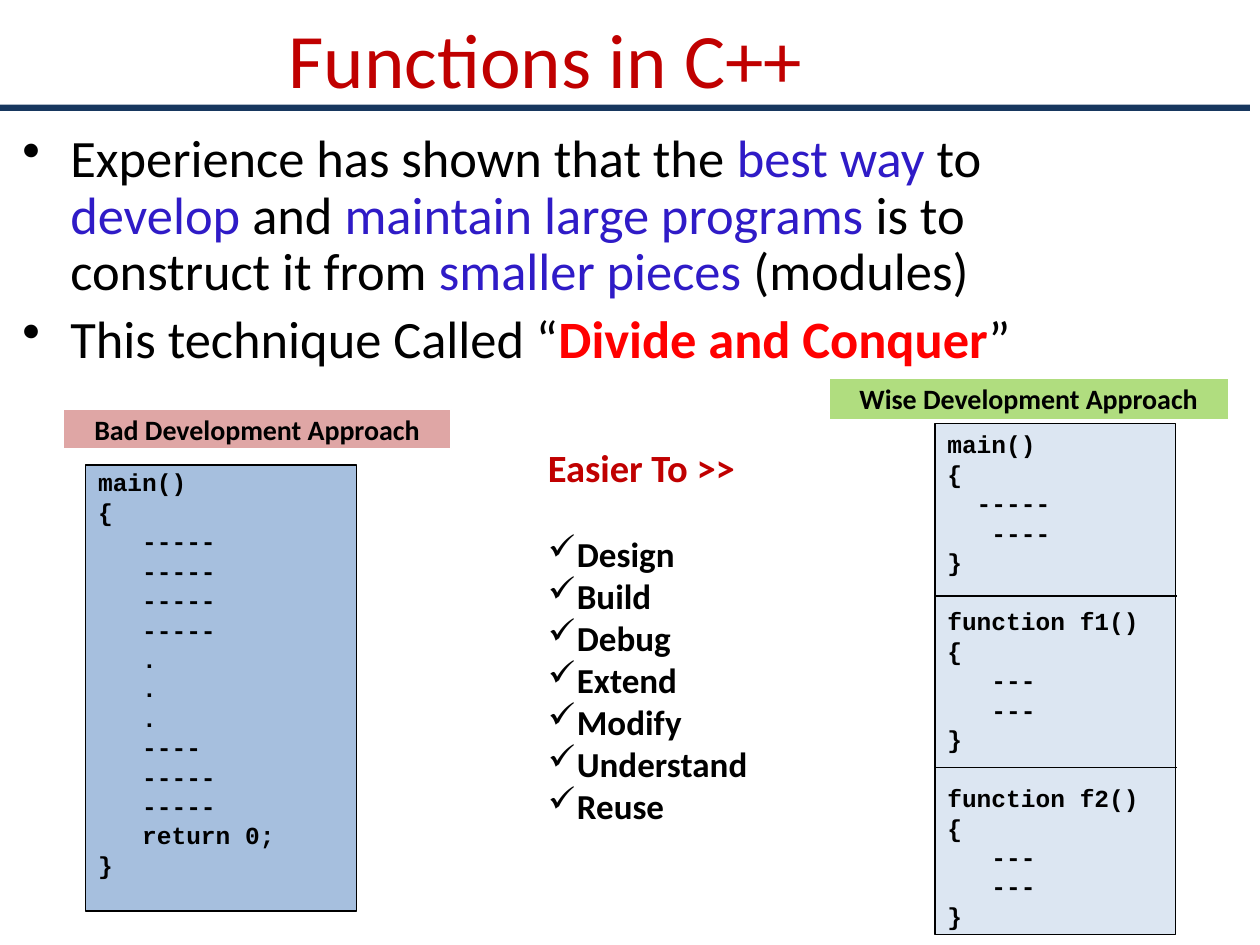
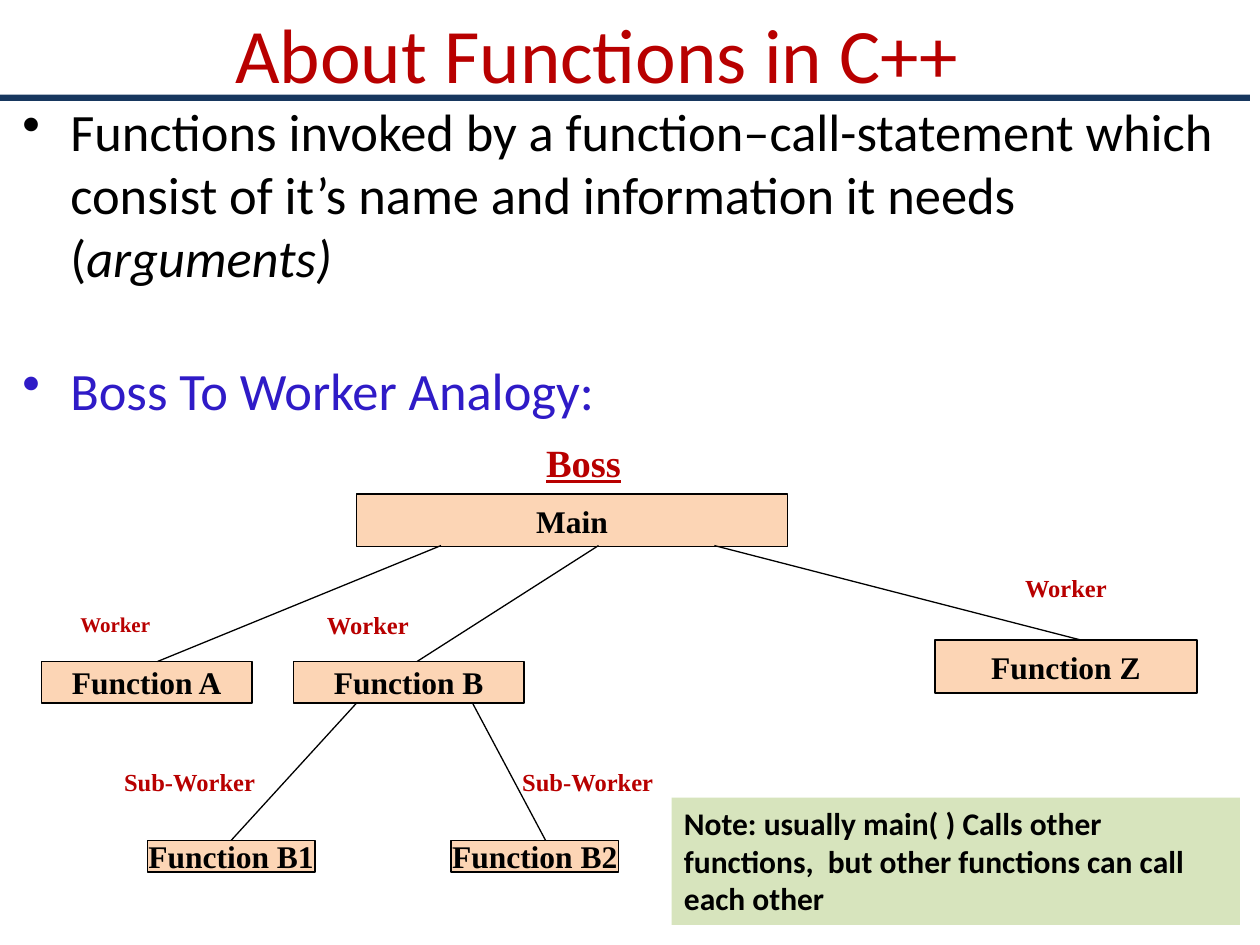
"""Build two slides that introduce functions in C++."""
from dataclasses import dataclass
from typing import Optional

import lxml.etree
import pptx
import pptx.dml.color
import pptx.enum.shapes
import pptx.enum.text
import pptx.oxml.ns
import pptx.util

RGBColor = pptx.dml.color.RGBColor
BLACK = RGBColor(0x00, 0x00, 0x00)
WHITE = RGBColor(0xFF, 0xFF, 0xFF)
NAVY = RGBColor(0x17, 0x37, 0x5E)
CRIMSON = RGBColor(0xC0, 0x00, 0x00)
DARK_RED = RGBColor(0xB8, 0x00, 0x00)
RED = RGBColor(0xFF, 0x00, 0x00)
INDIGO = RGBColor(0x2F, 0x1B, 0xC7)
STEEL = RGBColor(0xA6, 0xBF, 0xDE)
PALE_BLUE = RGBColor(0xDC, 0xE6, 0xF2)
ROSE = RGBColor(0xDF, 0xA6, 0xA5)
GREEN = RGBColor(0xB0, 0xDD, 0x7F)
PALE_GREEN = RGBColor(0xD7, 0xE4, 0xBD)
PEACH = RGBColor(0xFC, 0xD5, 0xB5)

SANS, MONO, SERIF = "Calibri", "Courier New", "Times New Roman"
CENTER = pptx.enum.text.PP_ALIGN.CENTER
LEFT = pptx.enum.text.PP_ALIGN.LEFT
TOP = pptx.enum.text.MSO_ANCHOR.TOP
MIDDLE = pptx.enum.text.MSO_ANCHOR.MIDDLE
PX_PER_INCH = 100
MONO_ADVANCE = 0.6
CODE_SIZE = 14
CODE_GAP = 17

Area = tuple[int, int, int, int]


@dataclass(frozen=True)
class Box:
    """A rectangle with one line or one block of bold text."""
    area: Area
    text: str
    fill: RGBColor
    line: Optional[RGBColor] = WHITE
    font: str = SANS
    size: int = 16
    color: RGBColor = BLACK
    align: pptx.enum.text.PP_ALIGN = CENTER
    anchor: pptx.enum.text.MSO_ANCHOR = MIDDLE
    wrap: bool = False
    underline: bool = False


@dataclass(frozen=True)
class Span:
    """A stretch of body text in one style."""
    text: str
    color: RGBColor = BLACK
    bold: bool = False
    italic: bool = False


@dataclass(frozen=True)
class CodeLine:
    """A line of code, indented by whole characters."""
    text: str
    indent: int = 0
    gap: int = 0


@dataclass(frozen=True)
class Edge:
    """A line of the call tree, ending at a point or on top of a node."""
    start: tuple[int, int]
    end: tuple[int, int]
    node: str = ""


def px(length: int) -> int:
    """Turn px into EMU."""
    return length * pptx.util.Inches(1) // PX_PER_INCH


def set_indent(para, margin: int, hanging: int = 0, bullet: str = "") -> None:
    """Set the left margin, hanging indent and bullet in EMU."""
    props = para._p.get_or_add_pPr()
    props.set("marL", str(margin))
    props.set("indent", str(-hanging))
    if bullet:
        mark = lxml.etree.SubElement(props, pptx.oxml.ns.qn("a:buChar"))
        mark.set("char", bullet)


def style_span(span, font: str, size: int, color: RGBColor,
               bold: bool = False) -> None:
    """Format one run."""
    span.font.name = font
    span.font.size = pptx.util.Pt(size)
    span.font.color.rgb = color
    span.font.bold = bold


def add_box(page, box: Box):
    """Draw a rectangle with its text."""
    shape = page.shapes.add_shape(pptx.enum.shapes.MSO_SHAPE.RECTANGLE,
                                  *map(px, box.area))
    shape.shadow.inherit = False
    shape.fill.solid()
    shape.fill.fore_color.rgb = box.fill
    if box.line is None:
        shape.line.fill.background()
    else:
        shape.line.color.rgb = box.line
        shape.line.width = pptx.util.Pt(0.75)
    frame = shape.text_frame
    frame.word_wrap = box.wrap
    frame.vertical_anchor = box.anchor
    frame.text = box.text
    for para in frame.paragraphs:
        para.alignment = box.align
        for span in para.runs:
            style_span(span, box.font, box.size, box.color, True)
            if box.underline:
                span.font.underline = True
    return shape


def add_code(page, area: Area, fill: RGBColor, inset: int,
             lines: list[CodeLine]) -> None:
    """Draw a panel of code."""
    text = "\n".join(line.text for line in lines)
    panel = add_box(page, Box(area, text, fill, BLACK, MONO, CODE_SIZE,
                              align=LEFT, anchor=TOP, wrap=True))
    panel.text_frame.margin_top = px(inset)
    for para, line in zip(panel.text_frame.paragraphs, lines):
        set_indent(para, pptx.util.Pt(line.indent * CODE_SIZE * MONO_ADVANCE))
        para.space_before = pptx.util.Pt(line.gap)


def add_line(page, start: tuple[int, int], end: tuple[int, int]):
    """Draw a thin black straight line."""
    line = page.shapes.add_connector(pptx.enum.shapes.MSO_CONNECTOR.STRAIGHT,
                                     *map(px, start + end))
    line.line.color.rgb = BLACK
    line.line.width = pptx.util.Pt(0.75)
    lxml.etree.SubElement(line._element.spPr, pptx.oxml.ns.qn("a:effectLst"))
    return line


def add_page(deck, title: str, area: Area, color: RGBColor, rule_top: int):
    """Add a slide with its title and the rule below it."""
    page = deck.slides.add_slide(deck.slide_layouts[5])
    holder = page.shapes.title
    holder.left, holder.top, holder.width, holder.height = map(px, area)
    frame = holder.text_frame
    frame.text = title
    frame.word_wrap = True
    frame.auto_size = pptx.enum.text.MSO_AUTO_SIZE.NONE
    frame.vertical_anchor = MIDDLE
    frame.paragraphs[0].alignment = CENTER
    style_span(frame.paragraphs[0].runs[0], SANS, 44, color)
    add_box(page, Box((0, rule_top, 992, 5), "", NAVY, None))
    return page


def add_body(page, area: Area, items: list[list[Span]], spacing: float,
             gap: int) -> None:
    """Add the bulleted text of a slide."""
    frame = page.shapes.add_textbox(*map(px, area)).text_frame
    frame.word_wrap = True
    for index, item in enumerate(items):
        para = frame.add_paragraph() if index else frame.paragraphs[0]
        para.line_spacing = spacing
        para.space_before = pptx.util.Pt(gap if index else 6)
        set_indent(para, px(38), px(38), "•")
        for part in item:
            span = para.add_run()
            span.text = part.text
            style_span(span, SANS, 30, part.color, part.bold)
            span.font.italic = part.italic


def build_approaches(deck) -> None:
    """Build the slide that compares two ways to develop."""
    page = add_page(deck, "Functions in C++", (67, 0, 850, 91), CRIMSON, 83)
    heading = page.shapes.title.text_frame.paragraphs[0]
    heading.alignment = LEFT
    set_indent(heading, px(152))
    add_body(page, (8, 100, 915, 150), [
        [Span("Experience has shown that the "), Span("best way ", INDIGO),
         Span("to "), Span("develop", INDIGO), Span(" and "),
         Span("maintain large programs", INDIGO),
         Span(" is to construct it from "), Span("smaller pieces ", INDIGO),
         Span("(modules)")],
        [Span("This technique Called “"),
         Span("Divide and Conquer", RED, bold=True), Span("”")],
    ], 0.9, 6)

    bad_body = (["-----"] * 4 + ["."] * 3
                + ["----", "-----", "-----", "return 0;"])
    add_code(page, (68, 369, 215, 354), STEEL, 2,
             [CodeLine("main()"), CodeLine("{"),
              *(CodeLine(text, 3) for text in bad_body), CodeLine("}")])
    add_box(page, Box((50, 325, 308, 31), "Bad Development Approach", ROSE))

    benefits = ["Design", "Build", "Debug", "Extend", "Modify", "Understand",
                "Reuse"]
    panel = add_box(page, Box((425, 300, 225, 408),
                              "\n".join(["Easier To >>", *benefits]), WHITE,
                              size=20, align=LEFT, wrap=True))
    header, *entries = panel.text_frame.paragraphs
    style_span(header.runs[0], SANS, 22, CRIMSON, True)
    header.space_after = pptx.util.Pt(24)
    for entry in entries:
        set_indent(entry, px(23), px(23), "✓")

    add_box(page, Box((658, 300, 317, 33), "Wise Development Approach", GREEN))
    lines = [CodeLine("main()"), CodeLine("{"), CodeLine("-----", 2),
             CodeLine("----", 3), CodeLine("}")]
    for name in ("f1", "f2"):
        lines += [CodeLine(f"function {name}()", gap=CODE_GAP), CodeLine("{"),
                  CodeLine("---", 3), CodeLine("---", 3), CodeLine("}")]
    add_code(page, (742, 336, 191, 406), PALE_BLUE, 5, lines)
    for top in (473, 609):
        add_line(page, (934, top), (742, top))


def build_analogy(deck) -> None:
    """Build the slide with the tree of boss and workers."""
    page = add_page(deck, "About Functions in C++", (49, 0, 850, 83),
                    DARK_RED, 75)
    add_body(page, (8, 74, 975, 258), [
        [Span("Functions invoked by a function–call-statement which consist "
              "of it’s name and information it needs ("),
         Span("arguments)", italic=True)],
        [Span("Boss To Worker Analogy:", INDIGO)],
    ], 1.0, 40)

    add_box(page, Box((367, 350, 192, 33), "Boss", WHITE, font=SERIF, size=22,
                      color=DARK_RED, underline=True))
    roles = [("Worker", (775, 450, 142, 33), 14),
             ("Worker", (33, 483, 117, 25), 12),
             ("Worker", (242, 483, 100, 25), 14),
             ("Sub-Worker", (92, 608, 117, 25), 14),
             ("Sub-Worker", (425, 608, 83, 25), 14)]
    for text, area, size in roles:
        add_box(page, Box(area, text, WHITE, font=SERIF, size=size,
                          color=DARK_RED))

    areas = {"Main": (283, 392, 342, 42),
             "Function A": (33, 525, 167, 33),
             "Function B": (233, 525, 183, 33),
             "Function Z": (742, 508, 208, 42),
             "Function B1": (117, 667, 133, 25),
             "Function B2": (358, 667, 133, 25)}
    nodes = {name: add_box(page, Box(area, name, PEACH, BLACK, SERIF, 18))
             for name, area in areas.items()}
    edges = [Edge((350, 433), (125, 525)),
             Edge((475, 433), (331, 525)),
             Edge((567, 433), (858, 508)),
             Edge((283, 558), (183, 667), "Function B1"),
             Edge((375, 558), (433, 667))]
    for edge in edges:
        line = add_line(page, edge.start, edge.end)
        if edge.node:
            line.end_connect(nodes[edge.node], 0)

    add_box(page, Box((533, 633, 451, 101),
                      "Note: usually main( ) Calls other functions,  but other "
                      "functions can call each other", PALE_GREEN, None,
                      size=18, align=LEFT, anchor=TOP, wrap=True))


def main() -> None:
    """Build and save the deck."""
    deck = pptx.Presentation()
    deck.slide_width, deck.slide_height = px(1000), px(750)
    build_approaches(deck)
    build_analogy(deck)
    deck.save("out.pptx")


if __name__ == "__main__":
    main()
